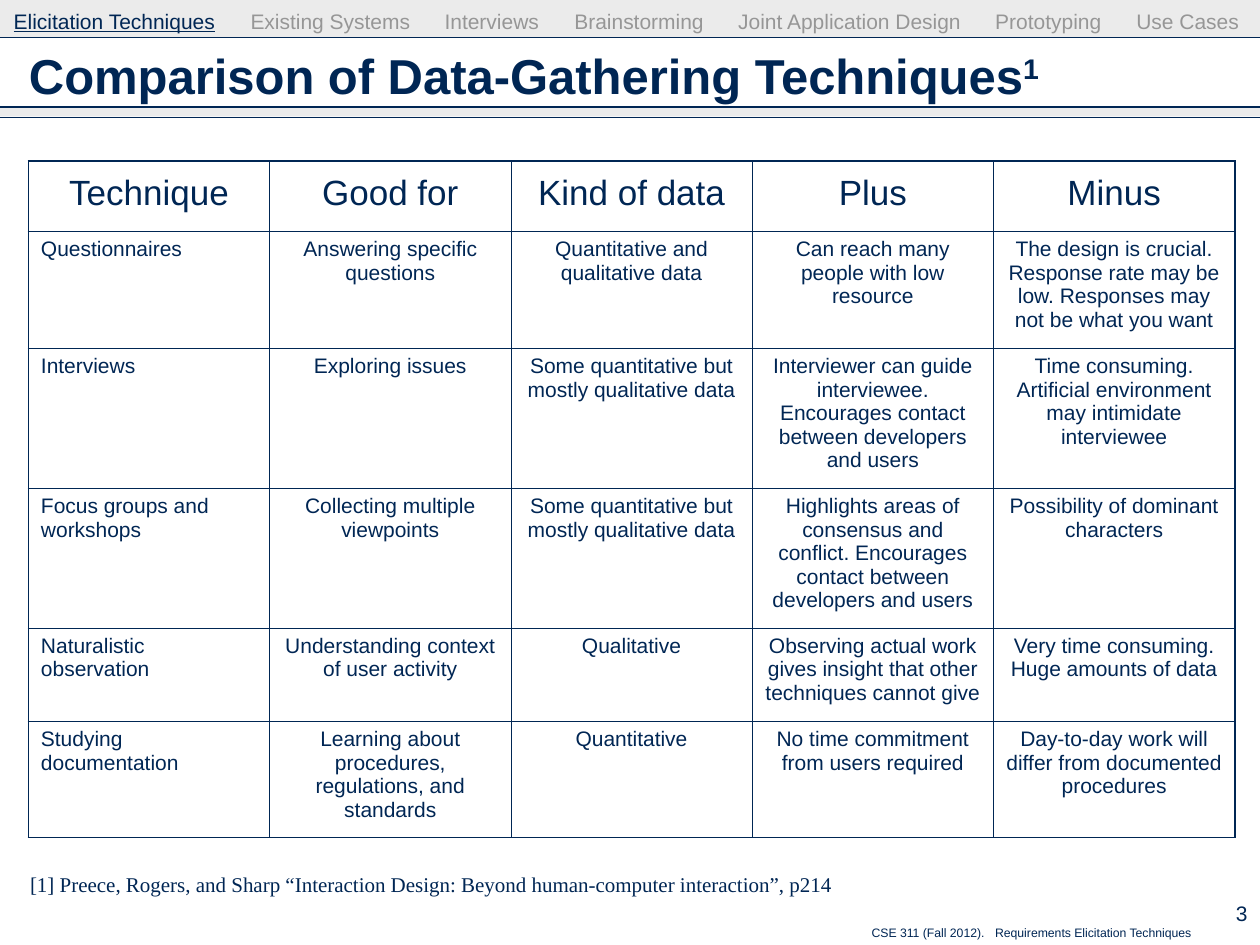
"""Build a slide that compares data-gathering techniques in a ruled table."""
from dataclasses import dataclass

from lxml import etree
from pptx import Presentation
from pptx.dml.color import RGBColor
from pptx.enum.dml import MSO_THEME_COLOR
from pptx.enum.shapes import MSO_CONNECTOR, MSO_SHAPE
from pptx.enum.text import MSO_ANCHOR, MSO_AUTO_SIZE, PP_ALIGN
from pptx.oxml import parse_xml
from pptx.oxml.ns import nsdecls, qn
from pptx.util import Inches, Pt

LEFT, CENTER, RIGHT = PP_ALIGN.LEFT, PP_ALIGN.CENTER, PP_ALIGN.RIGHT
TOP, MIDDLE = MSO_ANCHOR.TOP, MSO_ANCHOR.MIDDLE
RECT, STRAIGHT = MSO_SHAPE.RECTANGLE, MSO_CONNECTOR.STRAIGHT
NO_FIT, WHITE = MSO_AUTO_SIZE.NONE, MSO_THEME_COLOR.BACKGROUND_1


@dataclass(frozen=True)
class Theme:
    """Colours, fonts, type sizes and line widths."""
    navy: str = "002654"
    grey: str = "969696"
    band: str = "CDCDCD"
    sans: str = "Arial"
    serif: str = "Times New Roman"
    title: int = 28
    head: int = 20
    body: int = 12
    small: int = 7
    rule: float = 0.75
    inner: float = 0.45
    outer: float = 1.08


T = Theme()
prs = Presentation()
prs.slide_width, prs.slide_height = Inches(10), Inches(7.5)
W, H = prs.slide_width / 100, prs.slide_height / 100
s = prs.slides.add_slide(prs.slide_layouts[5])


def add_run(p, text, size=T.body, color=T.navy, font=T.sans):
    """Append one formatted run and return it."""
    r = p.add_run()
    r.text = text
    r.font.size, r.font.name = Pt(size), font
    r.font.color.rgb = RGBColor.from_string(color)
    return r


def add_line(x, y, w, h, align=LEFT, anchor=TOP, tabs=()):
    """Add a text box placed in percent of the slide and return its paragraph."""
    tf = s.shapes.add_textbox(int(x * W), int(y * H), int(w * W), int(h * H)).text_frame
    tf.word_wrap, tf.vertical_anchor, tf.margin_right = True, anchor, Inches(0.1)
    p = tf.paragraphs[0]
    p.alignment = align
    if tabs:
        tab_list = etree.SubElement(p._p.get_or_add_pPr(), qn("a:tabLst"))
        for tab in tabs:
            etree.SubElement(tab_list, qn("a:tab"), pos=str(int(tab * W)), algn="l")
    return p


for y, h in ((0, 4), (11.33, 1)):
    sp = s.shapes.add_shape(RECT, 0, int(y * H), prs.slide_width, int(h * H))
    sp.shadow.inherit = False
    sp.fill.solid()
    sp.fill.fore_color.rgb = RGBColor.from_string(T.band)
    etree.SubElement(sp._element.spPr.find(".//" + qn("a:srgbClr")), qn("a:alpha"), val="40000")
    sp.line.fill.background()

for y in (4, 11.33, 12.4):
    line = s.shapes.add_connector(STRAIGHT, 0, int(y * H), prs.slide_width, int(y * H))
    line.line.color.rgb = RGBColor.from_string(T.navy)
    line.line.width = Pt(T.rule)
    etree.SubElement(line._element.spPr, qn("a:effectLst"))

title = s.shapes.title
title.left, title.top, title.width, title.height = int(1.3 * W), int(3.5 * H), int(97.4 * W), int(8.8 * H)
tf = title.text_frame
tf.auto_size, tf.vertical_anchor = NO_FIT, MIDDLE
p = tf.paragraphs[0]
p.alignment = LEFT
for text, baseline in (("Comparison of Data-Gathering Techniques", 0), ("1", 30000)):
    r = add_run(p, text, T.title)
    r.font.bold = True
    r.font._element.set("baseline", str(baseline))

topics = ["Elicitation Techniques", "Existing Systems", "Interviews", "Brainstorming",
          "Joint Application Design", "Prototyping", "Use Cases"]
p = add_line(0.1, 0.2, 99.9, 3.6, tabs=(18.8, 34.2, 44.5, 57.5, 77.9, 89.1))
add_run(p, topics[0]).font.underline = True
for topic in topics[1:]:
    add_run(p, "\t" + topic, color=T.grey)

rows = [
    ["Technique", "Good for", "Kind of data", "Plus", "Minus"],
    ["Questionnaires", "Answering specific questions", "Quantitative and qualitative data",
     "Can reach many people with low resource",
     "The design is crucial. Response rate may be low. Responses may not be what you want"],
    ["Interviews", "Exploring issues", "Some quantitative but mostly qualitative data",
     "Interviewer can guide interviewee. Encourages contact between developers and users",
     "Time consuming. Artificial environment may intimidate interviewee"],
    ["Focus groups and workshops", "Collecting multiple viewpoints",
     "Some quantitative but mostly qualitative data",
     "Highlights areas of consensus and conflict. Encourages contact between developers and users",
     "Possibility of dominant characters"],
    ["Naturalistic observation", "Understanding context of user activity", "Qualitative",
     "Observing actual work gives insight that other techniques cannot give",
     "Very time consuming. Huge amounts of data"],
    ["Studying documentation", "Learning about procedures, regulations, and standards", "Quantitative",
     "No time commitment from users required",
     "Day-to-day work will differ from documented procedures"],
]
heights = [7.4, 12.4, 14.8, 14.8, 9.87, 12.3]
last_row, last_col = len(rows) - 1, len(rows[0]) - 1
table = s.shapes.add_table(len(rows), len(rows[0]), int(2.25 * W), int(17.07 * H),
                           int(95.75 * W), int(sum(heights) * H)).table
table.first_row = table.horz_banding = False
for i, (height, texts) in enumerate(zip(heights, rows)):
    table.rows[i].height = int(height * H)
    for j, text in enumerate(texts):
        cell = table.cell(i, j)
        edges = {"L": j == 0, "R": j == last_col, "T": i == 0, "B": i == last_row}
        for side, is_outer in edges.items():
            width = Pt(T.outer if is_outer else T.inner)
            cell._tc.get_or_add_tcPr().append(parse_xml(
                f'<a:ln{side} {nsdecls("a")} w="{width}"><a:solidFill>'
                f'<a:srgbClr val="{T.navy}"/></a:solidFill></a:ln{side}>'))
        cell.fill.solid()
        cell.fill.fore_color.theme_color = WHITE
        p = cell.text_frame.paragraphs[0]
        p.alignment = LEFT if i and j == 0 else CENTER
        if i == 0:
            p.line_spacing = Pt(26)
        add_run(p, text, T.body if i else T.head)

p = add_line(1.4, 91.6, 70, 4)
add_run(p, "[1] Preece, Rogers, and Sharp “Interaction Design: Beyond human-computer interaction”, p214",
        font=T.serif)

p = add_line(93, 94.4, 7, 4.5, RIGHT, MIDDLE)
add_run(p, "3")

p = add_line(68.2, 97.2, 28, 2.8, tabs=(9.8,))
add_run(p, "CSE 311 (Fall 2012).", T.small)
add_run(p, "\tRequirements Elicitation Techniques", T.small)

prs.save("out.pptx")
